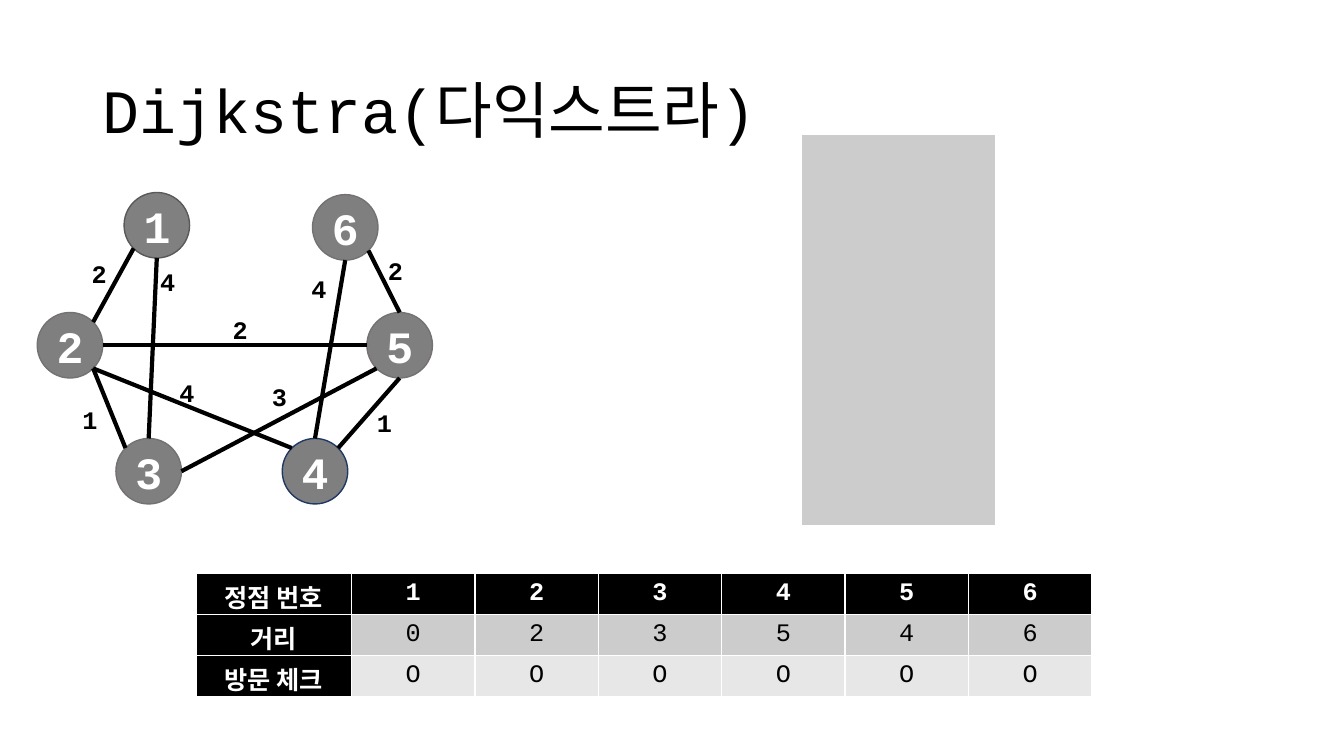
"""Build the Dijkstra slide: a weighted graph above its distance table."""
from math import cos, radians, sin

from lxml.etree import SubElement
from pptx import Presentation
from pptx.dml.color import RGBColor
from pptx.enum.shapes import MSO_CONNECTOR, MSO_SHAPE
from pptx.enum.text import MSO_ANCHOR, MSO_AUTO_SIZE, PP_ALIGN
from pptx.oxml.ns import qn
from pptx.util import Pt

COLORS = {
    "black": "000000", "white": "FFFFFF", "node": "7F7F7F", "first": "808080",
    "rim": "767171", "dark": "595959", "navy": "203864",
    "gray": "CCCCCC", "pale": "E7E7E7",
}


def color(name):
    return RGBColor.from_string(COLORS[name])


def write(frame, text, size=18, tint="black", bold=False, align=PP_ALIGN.CENTER):
    part = frame.paragraphs[0]
    part.alignment = align
    run = part.add_run()
    run.text = text
    run.font.name = "Courier New"
    run.font.size = Pt(size)
    run.font.bold = bold
    run.font.color.rgb = color(tint)
    return part


deck = Presentation()
deck.slide_width, deck.slide_height = Pt(960), Pt(540)
slide = deck.slides.add_slide(deck.slide_layouts[5])
shapes = slide.shapes

title = shapes.title
title.left, title.top, title.width, title.height = Pt(66), Pt(28.75), Pt(828), Pt(104.4)
title.text_frame.auto_size = MSO_AUTO_SIZE.NONE
title.text_frame.vertical_anchor = MSO_ANCHOR.MIDDLE
write(title.text_frame, "Dijkstra(다익스트라)", size=44, align=PP_ALIGN.LEFT).line_spacing = 0.9

SIZE = 46.8
NODES = {
    1: (88.6, 137.5, "first", "dark"),
    2: (26.6, 223.2, "node", "rim"),
    3: (82.8, 313.2, "node", "rim"),
    4: (201.6, 313.2, "node", "navy"),
    5: (262.1, 223.2, "node", "rim"),
    6: (223.2, 139, "node", "rim"),
}
for name, (left, top, fill, rim) in NODES.items():
    node = shapes.add_shape(MSO_SHAPE.OVAL, Pt(left), Pt(top), Pt(SIZE), Pt(SIZE))
    node.shadow.inherit = False
    node.fill.solid()
    node.fill.fore_color.rgb = color(fill)
    node.line.color.rgb = color(rim)
    node.line.width = Pt(1)
    node.text_frame.vertical_anchor = MSO_ANCHOR.MIDDLE
    write(node.text_frame, str(name), size=32, tint="white", bold=True)

EDGES = [
    (1, 135, 2, 315), (2, 45, 3, 225), (3, 0, 5, 135),
    (4, 315, 5, 90), (4, 225, 2, 45), (1, 90, 3, 270),
    (6, 90, 4, 270), (5, 180, 2, 0), (6, 45, 5, 270),
]
for start, leave, end, reach in EDGES:
    ends = []
    for name, angle in ((start, leave), (end, reach)):
        left, top = NODES[name][:2]
        turn = radians(angle)
        ends += [Pt(left + SIZE / 2 * (1 + cos(turn))), Pt(top + SIZE / 2 * (1 + sin(turn)))]
    edge = shapes.add_connector(MSO_CONNECTOR.STRAIGHT, *ends)
    edge.line.color.rgb = color("black")
    edge.line.width = Pt(3)
    SubElement(edge._element.spPr, qn("a:effectLst"))

WEIGHTS = [
    ("2", 58.3, 180.7), ("4", 107.3, 186.5), ("2", 159.1, 221),
    ("2", 270, 178.6), ("1", 262.1, 287.3), ("4", 215.3, 191.5),
    ("1", 51.8, 285.1), ("4", 121, 265.7), ("3", 187.2, 268.6),
]
for weight, left, top in WEIGHTS:
    label = shapes.add_textbox(Pt(left), Pt(top), Pt(24.5), Pt(28.8))
    label.text_frame.word_wrap = False
    write(label.text_frame, weight, bold=True, align=PP_ALIGN.LEFT)

ROWS = [
    ("black", ["정점 번호", "1", "2", "3", "4", "5", "6"]),
    ("gray", ["거리", "0", "2", "3", "5", "4", "6"]),
    ("pale", ["방문 체크"] + ["O"] * 6),
]
grid = shapes.add_table(3, 7, Pt(140), Pt(409.7), Pt(640), Pt(87.6)).table
for col, column in enumerate(grid.columns):
    column.width = Pt(88.15 if col > 0 else 111.1)
for row, (shade, texts) in enumerate(ROWS):
    for col, text in enumerate(texts):
        head = row == 0 or col == 0
        cell = grid.cell(row, col)
        cell.vertical_anchor = MSO_ANCHOR.MIDDLE
        cell.fill.solid()
        cell.fill.fore_color.rgb = color("black" if head else shade)
        write(cell.text_frame, text, tint="white" if head else "black", bold=head)

panel = shapes.add_table(1, 1, Pt(572.4), Pt(95.9), Pt(139), Pt(279.4)).table
panel.first_row = False
block = panel.cell(0, 0)
block.fill.solid()
block.fill.fore_color.rgb = color("gray")

deck.save("out.pptx")
